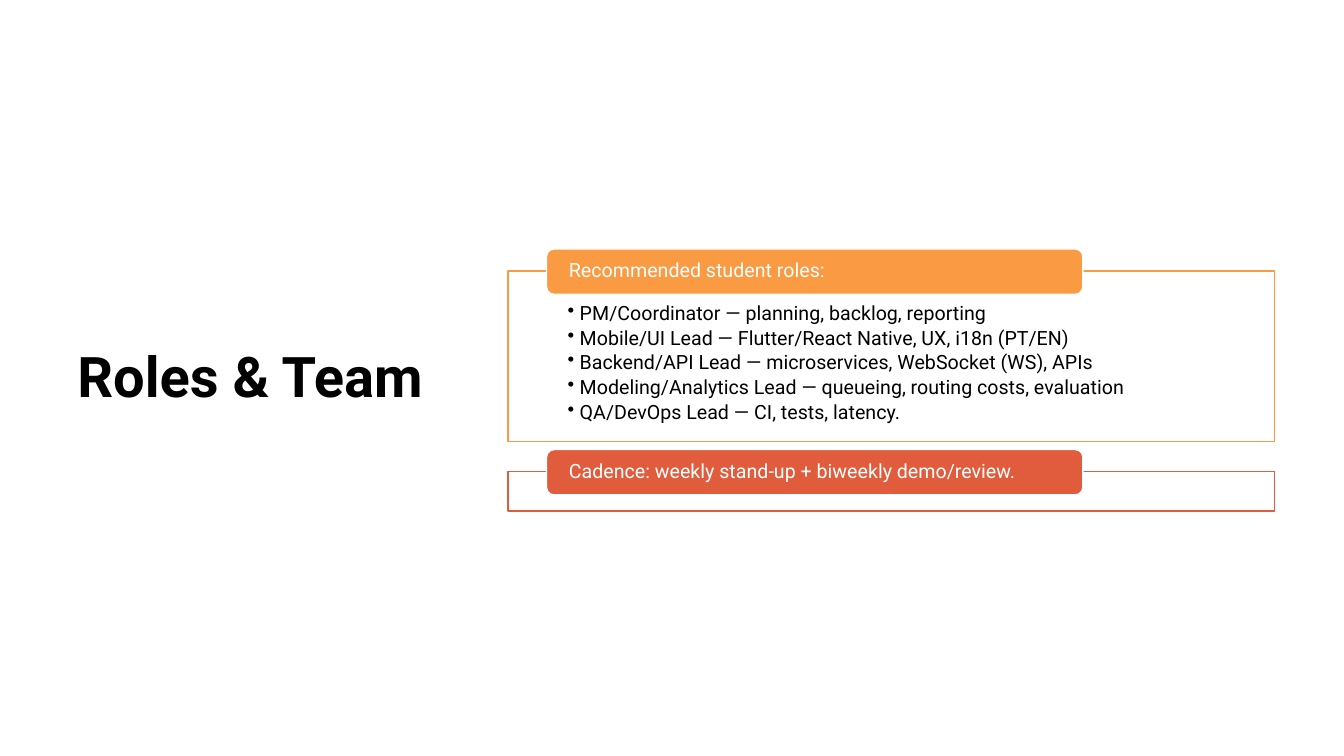
from lxml.etree import SubElement
from pptx import Presentation
from pptx.dml.color import RGBColor
from pptx.enum.shapes import MSO_SHAPE
from pptx.enum.text import MSO_ANCHOR, PP_ALIGN
from pptx.oxml.ns import qn
from pptx.util import Pt

EMU_PER_PX = 9144
FONT = "Roboto"
BLACK, WHITE = "000000", "FFFFFF"
ORANGE, RED = "FA9A42", "E15C3D"

ROLES = [
    "PM/Coordinator — planning, backlog, reporting",
    "Mobile/UI Lead — Flutter/React Native, UX, i18n (PT/EN)",
    "Backend/API Lead — microservices, WebSocket (WS), APIs",
    "Modeling/Analytics Lead — queueing, routing costs, evaluation",
    "QA/DevOps Lead — CI, tests, latency.",
]
SECTIONS = [
    ("Recommended student roles:", ROLES, ORANGE, 269, 169),
    ("Cadence: weekly stand-up + biweekly demo/review.", [], RED, 468, 39),
]


def px(length):
    return length * EMU_PER_PX


def set_color(color_format, value):
    color_format.rgb = RGBColor.from_string(value)


def set_frame(shape, anchor, left, top, right, bottom):
    frame = shape.text_frame
    frame.word_wrap = True
    frame.vertical_anchor = anchor
    frame.margin_left, frame.margin_top = px(left), px(top)
    frame.margin_right, frame.margin_bottom = px(right), px(bottom)
    return frame


def write_paragraph(paragraph, text, size, color, bold=False):
    paragraph.alignment = PP_ALIGN.LEFT
    paragraph.line_spacing = 0.9
    run = paragraph.add_run()
    run.text = text
    run.font.name = FONT
    run.font.size = Pt(size)
    run.font.bold = bold
    set_color(run.font.color, color)


def add_bullet(paragraph):
    paragraph.space_after = Pt(2.5)
    properties = paragraph._p.get_or_add_pPr()
    properties.set("marL", str(px(12)))
    properties.set("indent", str(px(-12)))
    SubElement(properties, qn("a:buChar"), char="•")


def add_box(slide, kind, left, top, width, height, fill, line):
    shape = slide.shapes.add_shape(kind, px(left), px(top), px(width), px(height))
    shape.shadow.inherit = False
    shape.fill.solid()
    set_color(shape.fill.fore_color, fill)
    set_color(shape.line.color, line)
    shape.line.width = Pt(1)
    return shape


def add_title(slide, text):
    box = slide.shapes.add_textbox(px(67), px(60), px(382), px(633))
    frame = set_frame(box, MSO_ANCHOR.MIDDLE, 10, 5, 10, 5)
    write_paragraph(frame.paragraphs[0], text, 40, BLACK, bold=True)


def add_section(slide, heading, items, color, top, height):
    body = add_box(slide, MSO_SHAPE.RECTANGLE, 504, top, 760, height, WHITE, color)
    opacity = body.fill._xPr.find(".//" + qn("a:srgbClr"))
    SubElement(opacity, qn("a:alpha"), val="90000")
    if items:
        frame = set_frame(body, MSO_ANCHOR.TOP, 59, 32, 59, 11)
        for index, item in enumerate(items):
            paragraph = frame.add_paragraph() if index else frame.paragraphs[0]
            write_paragraph(paragraph, item, 14, BLACK)
            add_bullet(paragraph)
    header = add_box(slide, MSO_SHAPE.ROUNDED_RECTANGLE, 542, top - 22, 532, 45, color, WHITE)
    frame = set_frame(header, MSO_ANCHOR.MIDDLE, 20, 0, 20, 0)
    write_paragraph(frame.paragraphs[0], heading, 14, WHITE)


def main():
    presentation = Presentation()
    presentation.slide_width = px(1333)
    presentation.slide_height = px(750)
    slide = presentation.slides.add_slide(presentation.slide_layouts[6])
    add_title(slide, "Roles & Team")
    for section in SECTIONS:
        add_section(slide, *section)
    presentation.save("out.pptx")


if __name__ == "__main__":
    main()
